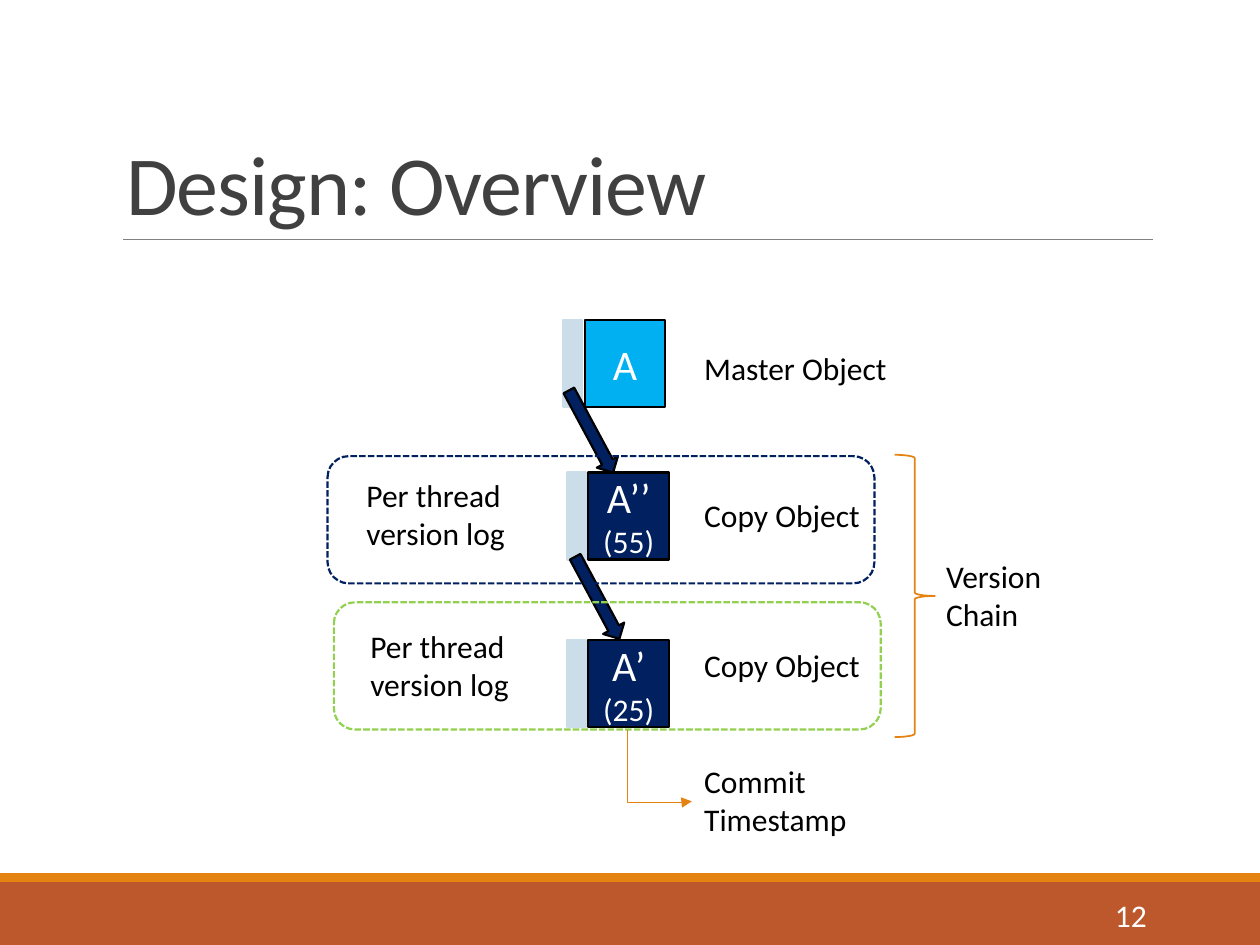
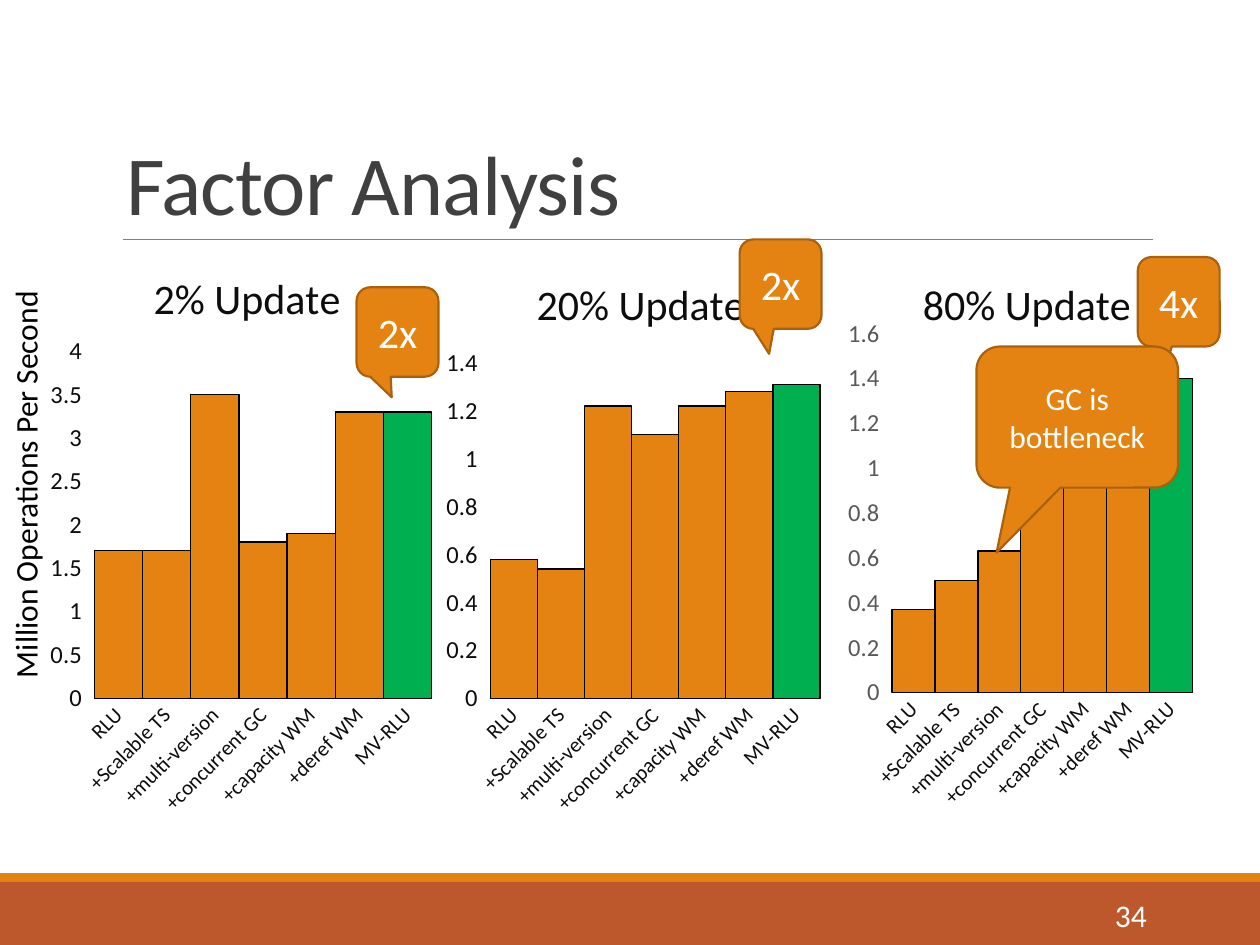
from pptx import Presentation
from pptx.chart.data import CategoryChartData
from pptx.dml.color import RGBColor
from pptx.enum.chart import XL_CHART_TYPE, XL_TICK_MARK
from pptx.enum.dml import MSO_LINE
from pptx.enum.shapes import MSO_CONNECTOR, MSO_SHAPE
from pptx.enum.text import MSO_ANCHOR, PP_ALIGN
from pptx.oxml import parse_xml
from pptx.oxml.ns import nsdecls, qn
from pptx.util import Inches, Pt

FONT = "Calibri"
TITLE_ONLY = 5

RUST = RGBColor(0xBD, 0x58, 0x2C)
ORANGE = RGBColor(0xE4, 0x83, 0x12)
DARK_ORANGE = RGBColor(0xA9, 0x61, 0x0D)
GREEN = RGBColor(0x00, 0xB0, 0x50)
LIME = RGBColor(0x92, 0xD0, 0x50)
SKY = RGBColor(0x00, 0xB0, 0xF0)
NAVY = RGBColor(0x00, 0x20, 0x60)
PALE_BLUE = RGBColor(0xCC, 0xDD, 0xEA)
BLACK = RGBColor(0x00, 0x00, 0x00)
NEAR_BLACK = RGBColor(0x0D, 0x0D, 0x0D)
TITLE_GRAY = RGBColor(0x40, 0x40, 0x40)
AXIS_GRAY = RGBColor(0x59, 0x59, 0x59)
RULE_GRAY = RGBColor(0x80, 0x80, 0x80)
LIGHT_GRAY = RGBColor(0xD9, 0xD9, 0xD9)
WHITE = RGBColor(0xFF, 0xFF, 0xFF)

RECT = MSO_SHAPE.RECTANGLE
ARROW = MSO_SHAPE.RIGHT_ARROW
BRACE = MSO_SHAPE.RIGHT_BRACE
LOG_FRAME = MSO_SHAPE.FLOWCHART_ALTERNATE_PROCESS
CALLOUT = MSO_SHAPE.ROUNDED_RECTANGULAR_CALLOUT
DASH = MSO_LINE.SQUARE_DOT
STRAIGHT, ELBOW = MSO_CONNECTOR.STRAIGHT, MSO_CONNECTOR.ELBOW
COLUMNS = XL_CHART_TYPE.COLUMN_CLUSTERED
NO_TICK, TICK_OUT = XL_TICK_MARK.NONE, XL_TICK_MARK.OUTSIDE
LEFT, CENTER, RIGHT = PP_ALIGN.LEFT, PP_ALIGN.CENTER, PP_ALIGN.RIGHT
TOP, MIDDLE, BOTTOM = MSO_ANCHOR.TOP, MSO_ANCHOR.MIDDLE, MSO_ANCHOR.BOTTOM

FACTORS = ["RLU", "+Scalable TS", "+multi-version", "+concurrent GC",
           "+capacity WM", "+deref WM", "MV-RLU"]


def inches(*lengths):
    return [Inches(length) for length in lengths]


def set_font(font, size, color):
    font.name, font.size = FONT, Pt(size)
    font.color.rgb = color


def write(frame, lines, color, align=LEFT, anchor=TOP):
    """Fill a text frame from (text, size) pairs, one paragraph each."""
    frame.word_wrap = True
    frame.vertical_anchor = anchor
    for index, (text, size) in enumerate(lines):
        paragraph = frame.add_paragraph() if index else frame.paragraphs[0]
        paragraph.text = text
        paragraph.alignment = align
        set_font(paragraph.font, size, color)


def add_block(slide, kind, box, fill=None, line=None, width=1.25, rotation=0):
    block = slide.shapes.add_shape(kind, *inches(*box))
    block.shadow.inherit = False
    block.rotation = rotation
    if fill is None:
        block.fill.background()
    else:
        block.fill.solid()
        block.fill.fore_color.rgb = fill
    if line is None:
        block.line.fill.background()
    else:
        block.line.color.rgb = line
        block.line.width = Pt(width)
    return block


def add_label(slide, text, box, color=BLACK, align=LEFT, anchor=TOP, rotation=0):
    label = slide.shapes.add_textbox(*inches(*box))
    label.rotation = rotation
    write(label.text_frame, [(text, 18)], color, align, anchor)


def add_line(slide, kind, start, end, color, width):
    line = slide.shapes.add_connector(kind, *inches(*start, *end))
    line.line.color.rgb = color
    line.line.width = Pt(width)
    line._element.spPr.append(parse_xml(f"<a:effectLst {nsdecls('a')}/>"))
    return line


def add_titled_slide(prs, title_text, number):
    slide = prs.slides.add_slide(prs.slide_layouts[TITLE_ONLY])
    add_block(slide, RECT, (0, 7, 10, 0.5), RUST)
    add_block(slide, RECT, (0, 6.93, 10, 0.07), ORANGE)
    add_line(slide, STRAIGHT, (0.98, 1.9), (9.15, 1.9), RULE_GRAY, 0.5)

    title = slide.shapes.title
    title.left, title.top, title.width, title.height = inches(0.9, 0.31, 8.25, 1.59)
    write(title.text_frame, [(title_text, 48)], TITLE_GRAY, anchor=BOTTOM)
    paragraph = title.text_frame.paragraphs[0]
    paragraph.line_spacing = 0.85
    paragraph.runs[0].font._element.set("spc", "-50")

    add_label(slide, str(number), (8.12, 7.06, 1.08, 0.4), WHITE, RIGHT, MIDDLE)
    return slide


def add_object(slide, left, top, lines, fill):
    """Draw a versioned object with its pale header strip on the left."""
    add_block(slide, RECT, (left - 0.17, top, 0.15, 0.69), PALE_BLUE, PALE_BLUE)
    body = add_block(slide, RECT, (left, top, 0.64, 0.69), fill, BLACK)
    write(body.text_frame, lines, WHITE, CENTER, MIDDLE)


def add_version_log(slide, left, top, color, label_box):
    frame = add_block(slide, LOG_FRAME, (left, top, 4.34, 1.01), line=color)
    frame.line.dash_style = DASH
    add_label(slide, "Per thread version log", label_box)


def add_timestamp_arrow(slide):
    """Lead down from the oldest copy, then right to the timestamp label."""
    arrow = add_line(slide, ELBOW, (5.52, 5.82), (4.95, 6.33), ORANGE, 1)
    properties = arrow._element.spPr
    properties.find(qn("a:xfrm")).set("rot", str(270 * 60000))
    adjustments = properties.find(qn("a:prstGeom")).find(qn("a:avLst"))
    adjustments.append(parse_xml(
        f'<a:gd {nsdecls("a")} name="adj1" fmla="val 101500"/>'))
    properties.find(qn("a:ln")).append(parse_xml(
        f'<a:tailEnd {nsdecls("a")} type="triangle"/>'))


def add_callout(slide, text, size, box, tip):
    callout = add_block(slide, CALLOUT, box, ORANGE, DARK_ORANGE)
    callout.adjustments[0], callout.adjustments[1] = tip
    write(callout.text_frame, [(text, size)], WHITE, CENTER, MIDDLE)


def place_in_chart(element, index, inner=False, **fractions):
    """Give a chart part a manual layout in fractions of the chart."""
    for layout in element.findall(qn("c:layout")):
        element.remove(layout)
    target = '<c:layoutTarget val="inner"/>' if inner else ""
    modes = "".join(f'<c:{key}Mode val="edge"/>' for key in "xy")
    values = "".join(f'<c:{key} val="{value}"/>' for key, value in fractions.items())
    element.insert(index, parse_xml(
        f'<c:layout {nsdecls("c")}><c:manualLayout>{target}{modes}{values}'
        "</c:manualLayout></c:layout>"))


def add_factor_chart(slide, left, width, title, title_at, plot_area,
                     values, top_value, step, value_color=NEAR_BLACK):
    data = CategoryChartData()
    data.categories = FACTORS
    data.add_series("Series 1", values)
    chart = slide.shapes.add_chart(COLUMNS, *inches(left, 1.9, width, 4.67), data).chart
    set_font(chart.font, 10, BLACK)
    chart.has_legend = False

    chart.has_title = True
    heading = chart.chart_title.text_frame
    heading.text = title
    set_font(heading.paragraphs[0].font, 24, NEAR_BLACK)
    heading.paragraphs[0].font.bold = False
    place_in_chart(chart.chart_title._element, 1, x=title_at[0], y=title_at[1])
    place_in_chart(chart._chartSpace.chart.plotArea, 0, inner=True,
                   **dict(zip("xywh", plot_area)))

    factors = chart.category_axis
    factors.major_tick_mark = NO_TICK
    factors.format.line.color.rgb = LIGHT_GRAY
    factors.format.line.width = Pt(0.75)
    set_font(factors.tick_labels.font, 12, NEAR_BLACK)
    factors._element.find(qn("c:txPr")).find(qn("a:bodyPr")).set("rot", str(-45 * 60000))

    rate = chart.value_axis
    rate.minimum_scale, rate.maximum_scale, rate.major_unit = 0, top_value, step
    rate.has_major_gridlines = False
    rate.major_tick_mark = TICK_OUT
    rate.format.line.fill.background()
    rate.tick_labels.number_format = "General"
    rate.tick_labels.number_format_is_linked = False
    set_font(rate.tick_labels.font, 14, value_color)

    plot = chart.plots[0]
    plot.gap_width = 0
    plot.vary_by_categories = False
    bars = plot.series[0]
    final_bar = bars.points[len(values) - 1]
    for part, color in ((bars, ORANGE), (final_bar, GREEN)):
        part.format.fill.solid()
        part.format.fill.fore_color.rgb = color
        part.format.line.color.rgb = BLACK
        part.format.line.width = Pt(0.75)


def build_overview(prs):
    slide = add_titled_slide(prs, "Design: Overview", 12)
    add_object(slide, 4.64, 2.54, [("A", 24)], SKY)
    add_object(slide, 4.67, 3.75, [("A’’", 24), ("(55)", 18)], NAVY)
    add_object(slide, 4.67, 5.08, [("A’", 24), ("(25)", 18)], NAVY)
    for left, top in ((4.32, 3.33), (4.37, 4.65)):
        add_block(slide, ARROW, (left, top, 0.74, 0.19), NAVY, BLACK, rotation=61.7)

    add_version_log(slide, 2.6, 3.62, NAVY, (2.81, 3.73, 1.45, 0.71))
    add_version_log(slide, 2.65, 4.78, LIME, (2.84, 4.93, 1.45, 0.71))
    for text, top in (("Master Object", 2.72), ("Copy Object", 3.89),
                      ("Copy Object", 5.08)):
        add_label(slide, text, (5.49, top, 1.75, 0.4))

    add_block(slide, BRACE, (7.1, 3.61, 0.32, 2.24), line=ORANGE, width=1)
    add_label(slide, "Version Chain", (7.41, 4.37, 1.05, 0.71))
    add_timestamp_arrow(slide)
    add_label(slide, "Commit Timestamp", (5.49, 6, 1.51, 0.71))


def build_factor_analysis(prs):
    slide = add_titled_slide(prs, "Factor Analysis", 34)
    add_factor_chart(slide, 0.34, 3.15, "2% Update", (0.26, 0.04),
                     (0.13, 0.19, 0.85, 0.59),
                     (1.7, 1.7, 3.5, 1.8, 1.9, 3.3, 3.3), 4, 0.5)
    add_factor_chart(slide, 3.49, 3.08, "20% Update", (0.23, 0.05),
                     (0.13, 0.21, 0.85, 0.57),
                     (0.58, 0.54, 1.22, 1.1, 1.22, 1.28, 1.31), 1.4, 0.2)
    add_factor_chart(slide, 6.56, 3.06, "80% Update", (0.23, 0.05),
                     (0.17, 0.16, 0.78, 0.61),
                     (0.37, 0.5, 0.63, 1.13, 1.27, 1.25, 1.4), 1.6, 0.2, AXIS_GRAY)
    add_label(slide, "Million Operations Per Second", (-1.53, 3.55, 3.46, 0.4),
              rotation=270)

    for text, left, top, tip in (("2x", 2.83, 2.28, (-0.07, 0.73)),
                                 ("2x", 5.87, 1.9, (-0.14, 0.78)),
                                 ("4x", 9.03, 2.04, (-0.2, 0.85))):
        add_callout(slide, text, 24, (left, top, 0.65, 0.71), tip)
    add_callout(slide, "GC is bottleneck", 18, (7.75, 2.75, 1.6, 1.12), (-0.4, 0.96))


def main():
    prs = Presentation()
    prs.slide_width, prs.slide_height = inches(10, 7.5)
    build_overview(prs)
    build_factor_analysis(prs)
    prs.save("out.pptx")


if __name__ == "__main__":
    main()
